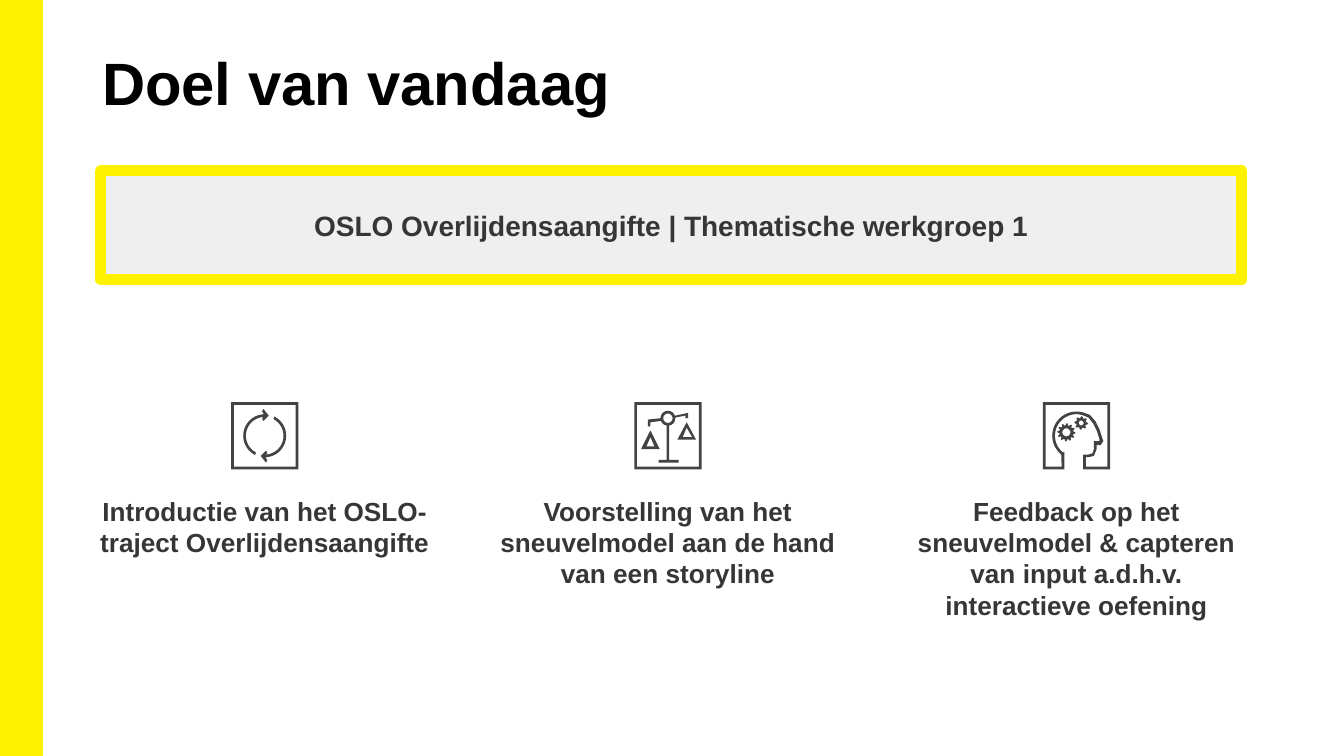
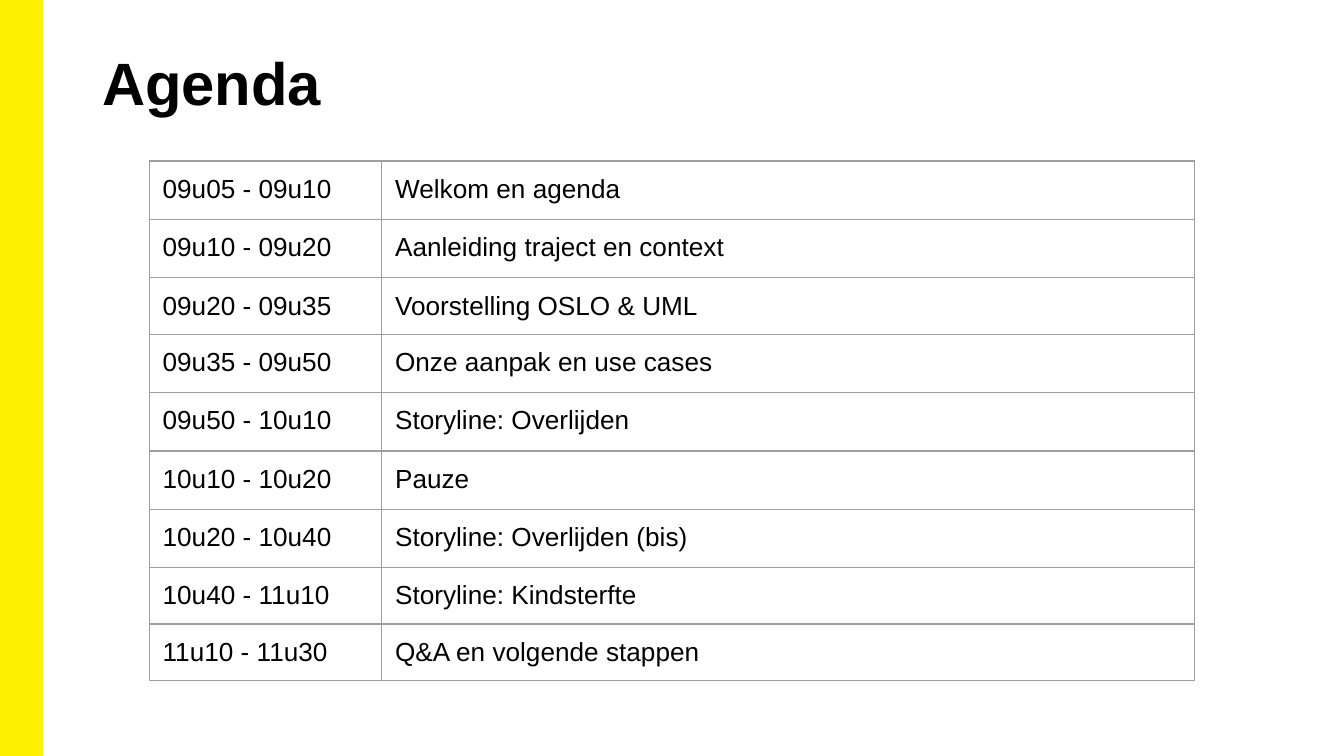
"""Build the goal and agenda slides of a thematic workshop."""
from dataclasses import dataclass
from math import cos, radians, sin

from lxml.etree import SubElement
from pptx import Presentation
from pptx.dml.color import RGBColor
from pptx.enum.shapes import MSO_SHAPE
from pptx.enum.text import MSO_ANCHOR, MSO_AUTO_SIZE, PP_ALIGN
from pptx.oxml.ns import qn
from pptx.util import Inches, Pt


@dataclass(frozen=True)
class Theme:
    font: str = "Arial"
    yellow: RGBColor = RGBColor.from_string("FFF200")
    panel: RGBColor = RGBColor.from_string("EFEFEF")
    black: RGBColor = RGBColor.from_string("000000")
    text: RGBColor = RGBColor.from_string("373636")
    icon: RGBColor = RGBColor.from_string("434343")
    border: str = "9E9E9E"
    title_size: int = 32
    banner_size: int = 15
    body_size: int = 14


theme = Theme()


def arc(x, y, radii, start, end, steps=24):
    """Return points on an arc, taking the radii in turn."""
    turns = [radians(start + (end - start) * step / steps) for step in range(steps + 1)]
    return [(x + radii[step % len(radii)] * cos(turn), y + radii[step % len(radii)] * sin(turn))
            for step, turn in enumerate(turns)]


def write(frame, text, size, color, bold=True, align=PP_ALIGN.LEFT):
    """Fill a text frame with one formatted paragraph."""
    frame.text = text
    frame.word_wrap = True
    para = frame.paragraphs[0]
    para.alignment = align
    for span in para.runs:
        span.font.name = theme.font
        span.font.size = Pt(size)
        span.font.bold = bold
        span.font.color.rgb = color


deck = Presentation()
deck.slide_width = Inches(10)
deck.slide_height = deck.slide_width * 9 // 16
wide, tall = deck.slide_width, deck.slide_height
layout = deck.slide_layouts[5]

goal, agenda = [deck.slides.add_slide(layout) for _ in range(2)]
for page, heading in ((goal, "Doel van vandaag"), (agenda, "Agenda")):
    title = page.shapes.title
    title.left, title.top = int(wide * 0.069), int(tall * 0.053)
    title.width, title.height = int(wide * 0.862), int(tall * 0.144)
    frame = title.text_frame
    write(frame, heading, theme.title_size, theme.black)
    frame.auto_size = MSO_AUTO_SIZE.NONE
    frame.vertical_anchor = MSO_ANCHOR.TOP
    frame.margin_left = frame.margin_right = Inches(0.07)
    frame.margin_top = frame.margin_bottom = Inches(0.04)

band = goal.shapes.add_shape(MSO_SHAPE.RECTANGLE, 0, 0, int(wide * 0.031), tall)
banner = goal.shapes.add_shape(MSO_SHAPE.RECTANGLE, int(wide * 0.075), int(tall * 0.226),
                               int(wide * 0.849), int(tall * 0.144))
for box, fill, weight in ((band, theme.yellow, 1), (banner, theme.panel, 6)):
    box.shadow.inherit = False
    box.fill.solid()
    box.fill.fore_color.rgb = fill
    box.line.color.rgb = theme.yellow
    box.line.width = Pt(weight)
band.element.nvSpPr.cNvPr.set("id", "20")
layout.shapes.element.insert(2, band.element)
write(banner.text_frame, "OSLO Overlijdensaangifte | Thematische werkgroep 1",
      theme.banner_size, theme.text, align=PP_ALIGN.CENTER)
banner.text_frame.vertical_anchor = MSO_ANCHOR.MIDDLE

border = [(0, 0), (0, 50), (50, 50), (50, 0)]
opening = [(2, 2), (2, 48), (48, 48), (48, 2)]
arrow = (arc(25, 25, [14], 118, 268) + [(23, 12), (24, 14), (28, 10), (24, 5), (23, 7), (24, 8)]
         + arc(25, 25, [16], 266, 116))
turned_arrow = [(50 - x, 50 - y) for x, y in arrow]
cycle = [[border, opening], [arrow], [turned_arrow]]

beam = ([(12, 15), (20, 14)] + arc(25, 12, [5.5], 160, 100)
        + [(24, 43), (18, 43), (18, 45), (33, 45), (33, 43), (26, 43)]
        + arc(25, 12, [5.5], 80, -5) + [(38, 10), (38, 12), (40, 12), (40, 8)]
        + arc(25, 12, [5.5], -20, -180) + [(10, 13), (10, 18), (12, 18)])
scales = [[border, opening,
           [(12, 21), (5, 35), (19, 35)], [(12, 26), (15, 33), (9, 33)],
           [(32, 28), (46, 28), (39, 15)], [(36, 26), (39, 19), (43, 26)],
           beam, arc(25, 12, [3.5], 0, 360)]]

head_inside = ([(0, 0), (0, 50), (16, 50), (16, 37)] + arc(25, 25, [16], 129, 285)
               + [(34, 11.5), (37.4, 15.8), (40, 21), (42, 27), (42, 29), (38, 29), (38, 35),
                  (37, 38), (34, 39), (30, 39), (30, 50), (50, 50), (50, 0)])
head_outside = ([(2, 2), (2, 48), (14, 48)] + arc(25, 25, [18], 129, 285)
                + [(35, 9.5), (39.3, 14.5), (42, 20), (44, 26), (45, 29), (43, 32), (40, 32),
                   (40, 35), (38, 40), (34, 41), (32, 41), (32, 48), (48, 48), (48, 2)])
large_gear = [arc(17.5, 22.5, [6.7, 6.7, 5.2, 5.2], 0, 360, 48), arc(17.5, 22.5, [3], 0, 360)]
small_gear = [arc(28.5, 15.5, [5, 5, 3.7, 3.7], 0, 360, 32), arc(28.5, 15.5, [1.8], 0, 360)]
thinking = [[head_inside, head_outside], large_gear, small_gear]

topics = [
    (0.197, cycle, "Introductie van het OSLO-traject Overlijdensaangifte"),
    (0.497, scales, "Voorstelling van het sneuvelmodel aan de hand van een storyline"),
    (0.801, thinking, "Feedback op het sneuvelmodel & capteren van input a.d.h.v. "
                      "interactieve oefening"),
]
label_width, icon_width = 0.28, 0.05
for center, icon, caption in topics:
    shapes = goal.shapes.add_group_shape().shapes if len(icon) > 1 else goal.shapes
    for part in icon:
        builder = None
        for contour in part:
            points = [(x * 100, y * 100) for x, y in contour]
            if builder is None:
                builder = shapes.build_freeform(*points[0], scale=wide * icon_width / 5000)
            else:
                builder.move_to(*points[0])
            builder.add_line_segments(points[1:], close=True)
        drawing = builder.convert_to_shape(int(wide * (center - icon_width / 2)),
                                           int(tall * 0.532))
        drawing.shadow.inherit = False
        drawing.fill.solid()
        drawing.fill.fore_color.rgb = theme.icon
        drawing.line.fill.background()
    label = goal.shapes.add_textbox(int(wide * (center - label_width / 2)), int(tall * 0.646),
                                    int(wide * label_width), int(tall * 0.228))
    write(label.text_frame, caption, theme.body_size, theme.text, align=PP_ALIGN.CENTER)

schedule = [
    ("09u05 - 09u10", "Welkom en agenda"),
    ("09u10 - 09u20", "Aanleiding traject en context"),
    ("09u20 - 09u35", "Voorstelling OSLO & UML"),
    ("09u35 - 09u50", "Onze aanpak en use cases"),
    ("09u50 - 10u10", "Storyline: Overlijden"),
    ("10u10 - 10u20", "Pauze"),
    ("10u20 - 10u40", "Storyline: Overlijden (bis)"),
    ("10u40 - 11u10", "Storyline: Kindsterfte"),
    ("11u10 - 11u30", "Q&A en volgende stappen"),
]
short_rows = (2, 7, 8)
table = agenda.shapes.add_table(len(schedule), 2, int(wide * 0.111), int(tall * 0.213),
                                int(wide * 0.778), int(tall * 0.69)).table
table.first_row = table.horz_banding = False
for column, share in zip(table.columns, (0.173, 0.605)):
    column.width = int(wide * share)
for index, (row, texts) in enumerate(zip(table.rows, schedule)):
    row.height = Pt(29.5 if index in short_rows else 31.3)
    for cell, text in zip(row.cells, texts):
        write(cell.text_frame, text, theme.body_size, theme.black, bold=False)
        cell.margin_left = cell.margin_right = Inches(0.1)
        cell.margin_top = cell.margin_bottom = Inches(0.1)
        properties = cell._tc.get_or_add_tcPr()
        for side in ("a:lnL", "a:lnR", "a:lnT", "a:lnB"):
            edge = SubElement(properties, qn(side), w=str(Pt(0.75)))
            SubElement(SubElement(edge, qn("a:solidFill")), qn("a:srgbClr"), val=theme.border)
        cell.fill.background()

deck.save("out.pptx")
